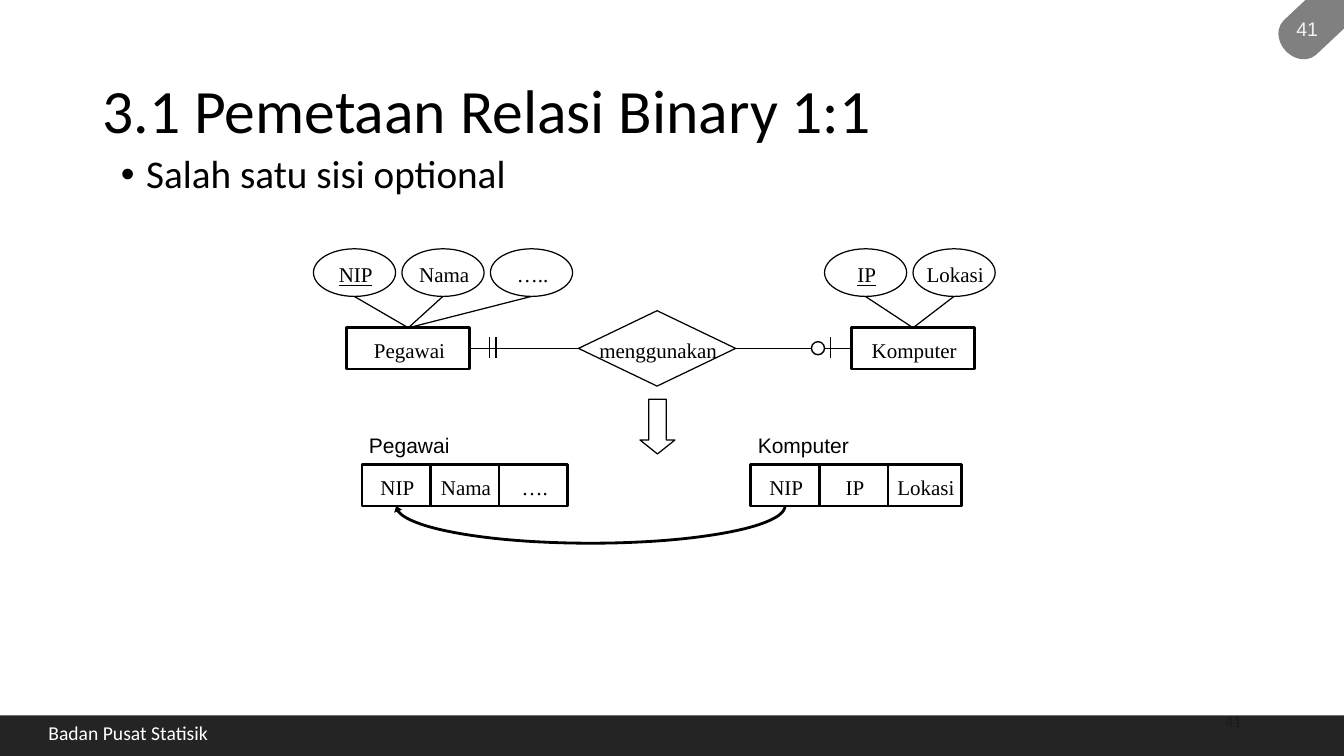
import math

from lxml import etree
from pptx import Presentation
from pptx.dml.color import RGBColor
from pptx.enum.shapes import MSO_CONNECTOR, MSO_SHAPE
from pptx.enum.text import MSO_ANCHOR, PP_ALIGN
from pptx.oxml.ns import qn
from pptx.util import Cm, Pt

RECT, OVAL, DIAMOND = MSO_SHAPE.RECTANGLE, MSO_SHAPE.OVAL, MSO_SHAPE.DIAMOND
DOWN_ARROW, TAB = MSO_SHAPE.DOWN_ARROW, MSO_SHAPE.FLOWCHART_STORED_DATA
STRAIGHT = MSO_CONNECTOR.STRAIGHT
LEFT, CENTER, RIGHT = PP_ALIGN.LEFT, PP_ALIGN.CENTER, PP_ALIGN.RIGHT
TOP, MIDDLE = MSO_ANCHOR.TOP, MSO_ANCHOR.MIDDLE
TOP_SIDE, LEFT_SIDE, RIGHT_SIDE = 0, 1, 3
THIN, THICK, CURVE = 0.88, 1.88, 2


def rgb(value):
    return RGBColor.from_string(value)


class Diagram:
    black, white = "000000", "FFFFFF"
    heading_font, label_font, name_font = "Calibri", "Times New Roman", "Arial"
    label_size = 15

    def __init__(self, slide):
        self.slide = slide
        self.shapes = slide.shapes

    def add_words(self, frame, text, size, font, color=black, align=LEFT,
                  anchor=MIDDLE, underline=None):
        frame.vertical_anchor = anchor
        paragraph = frame.paragraphs[0]
        paragraph.alignment = align
        run = paragraph.add_run()
        run.text = text
        run.font.size = Pt(size)
        run.font.name = font
        run.font.color.rgb = rgb(color)
        run.font.underline = underline
        return paragraph

    def placeholder(self, holder, box, text, size, anchor):
        holder.left, holder.top, holder.width, holder.height = map(Cm, box)
        paragraph = self.add_words(holder.text_frame, text, size,
                                   self.heading_font, anchor=anchor)
        paragraph.line_spacing = 0.9
        return paragraph

    def text(self, box, text, size, font, color=black, align=LEFT, inset=None):
        frame = self.shapes.add_textbox(*map(Cm, box)).text_frame
        frame.word_wrap = True
        if inset is not None:
            frame.margin_left = frame.margin_right = Cm(inset)
            frame.margin_top = frame.margin_bottom = Cm(inset)
        self.add_words(frame, text, size, font, color, align)

    def shape(self, kind, box, label=None, weight=None, fill=None, underline=None):
        shape = self.shapes.add_shape(kind, *map(Cm, box))
        self.paint(shape, weight, fill)
        if label:
            frame = shape.text_frame
            frame.word_wrap = False
            frame.margin_left, frame.margin_top = Cm(0.06), Cm(0.1)
            frame.margin_right = frame.margin_bottom = 0
            self.add_words(frame, label, self.label_size, self.label_font,
                           align=CENTER, underline=underline)
        return shape

    def paint(self, shape, weight, fill=None):
        shape.shadow.inherit = False
        if fill:
            shape.fill.solid()
            shape.fill.fore_color.rgb = rgb(fill)
        else:
            shape.fill.background()
        if weight:
            shape.line.color.rgb = rgb(self.black)
            shape.line.width = Pt(weight)
        else:
            shape.line.fill.background()

    def line(self, x1, y1, x2, y2):
        line = self.shapes.add_connector(STRAIGHT, *map(Cm, (x1, y1, x2, y2)))
        line.line.color.rgb = rgb(self.black)
        line.line.width = Pt(THIN)
        etree.SubElement(line._element.spPr, qn("a:effectLst"))
        return line

    def entity(self, box, name, attributes, first_x):
        """Draw an entity box with its attribute ovals above; the first is the key."""
        entity = self.shape(RECT, box, name, THICK)
        middle, top = box[0] + box[2] / 2, box[1]
        for i, attribute in enumerate(attributes):
            x = first_x + 2.23 * i
            self.shape(OVAL, (x, 6.27, 2.07, 1.2), attribute, THIN,
                       underline=True if i == 0 else None)
            self.line(x + 1.03, 7.47, middle, top).end_connect(entity, TOP_SIDE)
        return entity

    def relation_table(self, x, name, columns, widths):
        self.text((x + 0.18, 10.9, 2.5, 0.64), name, self.label_size,
                  self.name_font, inset=0)
        for column, width in zip(columns, widths):
            self.shape(RECT, (x, 11.71, width, 1.04), column, THICK)
            x += width

    def key_arrow(self, start_x, end_x, y, depth, steps=48):
        """Draw a half ellipse below y, with an arrowhead at end_x."""
        middle, radius = (start_x + end_x) / 2, (start_x - end_x) / 2
        points = [(Cm(middle + radius * math.cos(math.pi * i / steps)),
                   Cm(y + depth * math.sin(math.pi * i / steps)))
                  for i in range(steps + 1)]
        builder = self.shapes.build_freeform(*points[0])
        builder.add_line_segments(points[1:], close=False)
        curve = builder.convert_to_shape()
        self.paint(curve, CURVE)
        etree.SubElement(curve.line._get_or_add_ln(), qn("a:tailEnd"),
                         type="triangle", w="med", len="sm")


def main():
    deck = Presentation()
    deck.slide_width, deck.slide_height = Cm(33.87), Cm(19.05)
    slide = deck.slides.add_slide(deck.slide_layouts[1])
    diagram = Diagram(slide)

    diagram.placeholder(slide.shapes.title, (2.33, 1.02, 29.21, 3.68),
                        "3.1 Pemetaan Relasi Binary 1:1", 44, MIDDLE)
    bullet = diagram.placeholder(slide.placeholders[1], (2.79, 3.78, 29.21, 12.09),
                                 "Salah satu sisi optional", 28, TOP)
    bullet.space_before = Pt(10)
    indent = Cm(0.64)
    properties = bullet._p.get_or_add_pPr()
    properties.set("marL", str(indent))
    properties.set("indent", str(-indent))

    pegawai = diagram.entity((8.74, 8.26, 3.1, 1.04), "Pegawai",
                             ["NIP", "Nama", "….."], 7.9)
    komputer = diagram.entity((21.46, 8.26, 3.1, 1.04), "Komputer",
                              ["IP", "Lokasi"], 20.78)
    menggunakan = diagram.shape(DIAMOND, (14.58, 7.83, 3.96, 1.9), "menggunakan", THIN)
    for left, right in ((pegawai, menggunakan), (menggunakan, komputer)):
        link = diagram.line(0, 0, 1, 1)
        link.begin_connect(left, RIGHT_SIDE)
        link.end_connect(right, LEFT_SIDE)
    for tick_x in (12.34, 12.5, 20.93):
        diagram.line(tick_x, 8.5, tick_x, 9.03)
    diagram.shape(OVAL, (20.45, 8.61, 0.33, 0.33), weight=1, fill=diagram.white)

    mapping = diagram.shape(DOWN_ARROW, (16.13, 10.06, 0.88, 1.38), weight=THIN)
    mapping.adjustments[0], mapping.adjustments[1] = 0.5, 0.4

    cell, pegawai_x, komputer_x = 1.73, 9.12, 18.92
    diagram.relation_table(pegawai_x, "Pegawai", ["NIP", "Nama", "…."], [cell] * 3)
    diagram.relation_table(komputer_x, "Komputer", ["NIP", "IP", "Lokasi"],
                           [cell, cell, 1.85])
    diagram.key_arrow(komputer_x + cell / 2, pegawai_x + cell / 2, 12.75, 0.94)

    diagram.text((23.93, 17.65, 7.62, 1.02), "41", 12, diagram.heading_font,
                 "8C8C8C", RIGHT)
    footer = diagram.shape(RECT, (0, 18.03, 33.87, 1.02), fill="0D0D0D")
    footer_color = footer._element.spPr.find(qn("a:solidFill"))[0]
    etree.SubElement(footer_color, qn("a:alpha"), val="90000")
    diagram.text((0.97, 18.06, 5, 0.79), "Badan Pusat Statisik", 14,
                 diagram.heading_font, diagram.white)
    page_tab = diagram.shape(TAB, (32, -0.33, 2.97, 1.19), fill="808080")
    page_tab.rotation = 316.8
    diagram.text((32.36, 0.3, 1.17, 0.86), "41", 14, diagram.name_font,
                 "F2F2F2", CENTER)

    deck.save("out.pptx")


if __name__ == "__main__":
    main()
